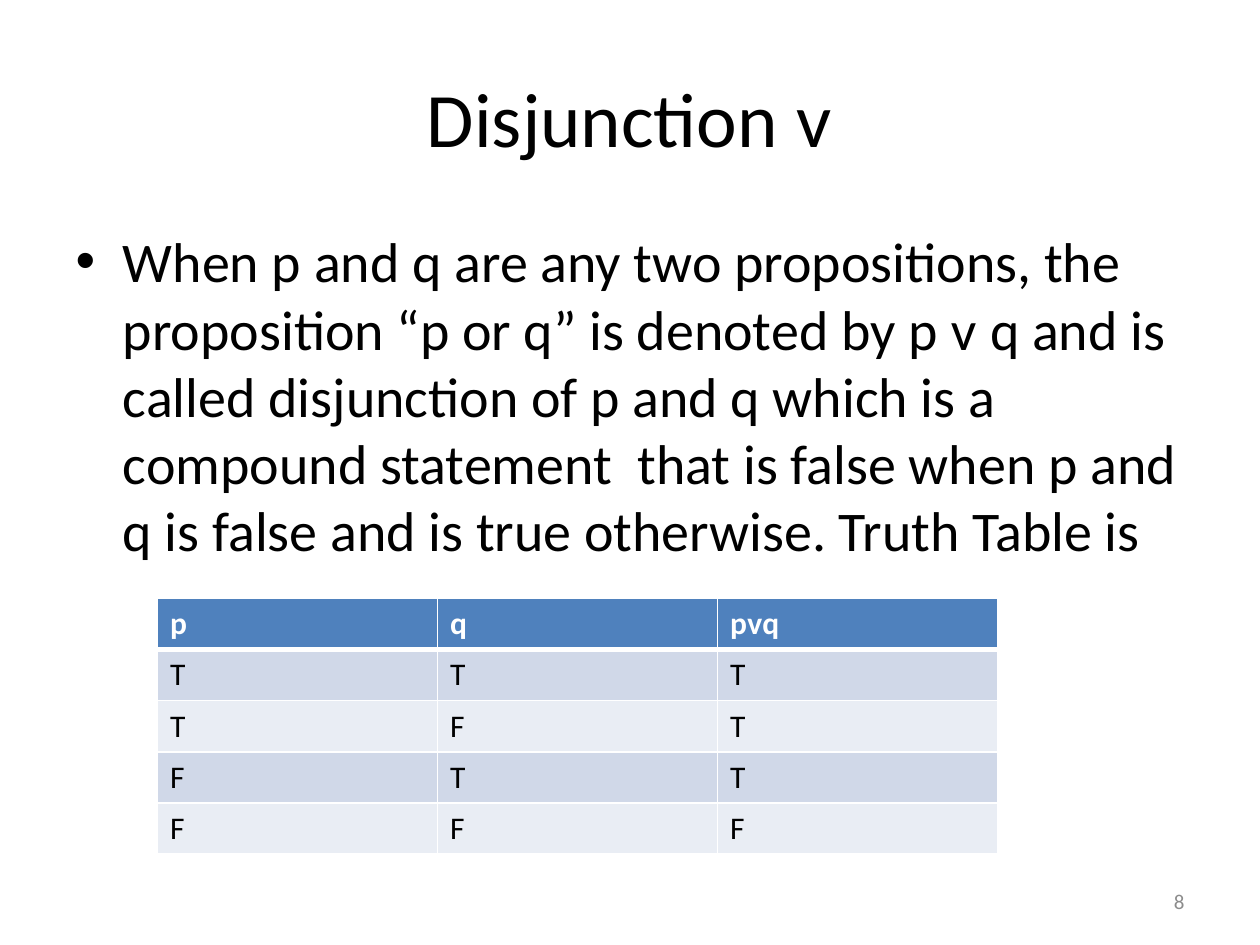
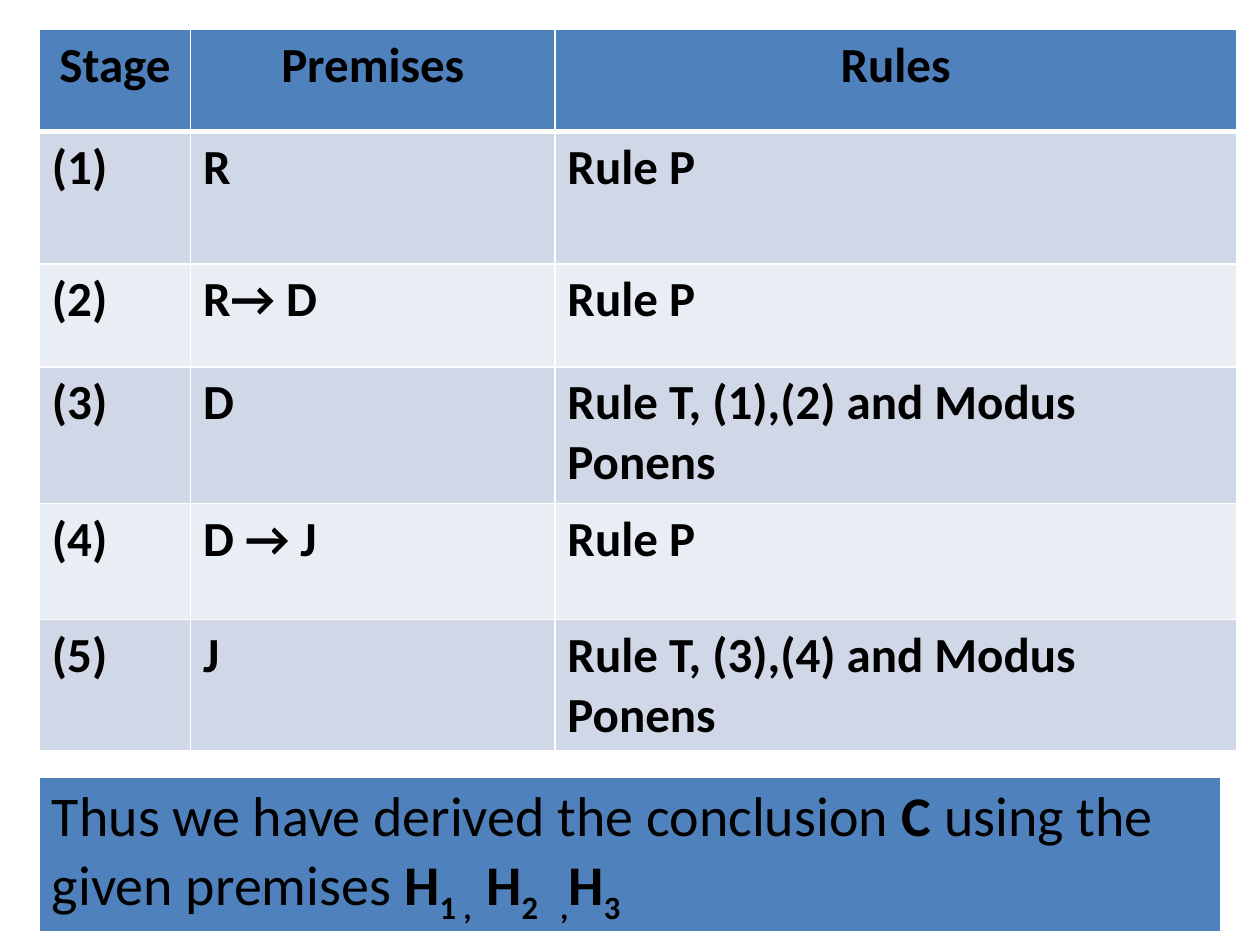
from dataclasses import dataclass
from typing import NamedTuple

from lxml import etree
from pptx import Presentation
from pptx.dml.color import RGBColor
from pptx.enum.text import MSO_ANCHOR, PP_ALIGN
from pptx.oxml.ns import qn
from pptx.util import Emu, Inches, Pt

CENTER, LEFT, RIGHT = PP_ALIGN.CENTER, PP_ALIGN.LEFT, PP_ALIGN.RIGHT
MIDDLE = MSO_ANCHOR.MIDDLE
TITLE_AND_CONTENT, BLANK = 1, 6
SUBSCRIPT = "-25000"


@dataclass(frozen=True)
class Theme:
    font: str = "Calibri"
    ink: str = "000000"
    paper: str = "FFFFFF"
    muted: str = "8C8C8C"
    accent: str = "4F81BD"
    bands: tuple[str, str] = ("D0D8E8", "E9EDF4")
    title: int = 44
    body: int = 32
    steps: int = 28
    cells: int = 18
    number: int = 12
    rule: int = 1
    heavy_rule: int = 3


class Span(NamedTuple):
    text: str
    bold: bool = False
    subscript: bool = False


@dataclass(frozen=True)
class TableSpec:
    """Position, column widths and row heights are in grid units."""
    left: float
    top: float
    cols: list[float]
    rows: list[float]
    texts: list[list[str]]
    size: int
    header_color: str
    header_align: PP_ALIGN = LEFT
    bold_body: bool = False


THEME = Theme()
SLIDE_W, SLIDE_H = Inches(10), Inches(7.5)
GRID_COLS, GRID_ROWS = 120, 90


def gx(columns: float) -> Emu:
    return Emu(round(SLIDE_W * columns / GRID_COLS))


def gy(rows: float) -> Emu:
    return Emu(round(SLIDE_H * rows / GRID_ROWS))


def style(p, size: int, color: str = THEME.ink, bold: bool | None = None,
          align: PP_ALIGN | None = None) -> None:
    p.font.name, p.font.size, p.font.bold = THEME.font, Pt(size), bold
    p.font.color.rgb = RGBColor.from_string(color)
    if align is not None:
        p.alignment = align


def paint_cell(cell, fill: str, top: int, bottom: int) -> None:
    """Fill a cell and rule its four edges, top and bottom widths in points."""
    cell.fill.solid()
    cell.fill.fore_color.rgb = RGBColor.from_string(fill)
    tc_pr = cell._tc.get_or_add_tcPr()
    widths = {"a:lnL": THEME.rule, "a:lnR": THEME.rule, "a:lnT": top, "a:lnB": bottom}
    for i, (tag, width) in enumerate(widths.items()):
        ln = etree.Element(qn(tag), w=str(Pt(width)))
        solid = etree.SubElement(ln, qn("a:solidFill"))
        etree.SubElement(solid, qn("a:srgbClr"), val=THEME.paper)
        tc_pr.insert(i, ln)


def new_table(slide, left: float, top: float, cols: list[float], rows: list[float]):
    table = slide.shapes.add_table(len(rows), len(cols), gx(left), gy(top),
                                   gx(sum(cols)), gy(sum(rows))).table
    table.horz_banding = False
    for column, width in zip(table.columns, cols):
        column.width = gx(width)
    for row, height in zip(table.rows, rows):
        row.height = gy(height)
    return table


def draw_table(slide, spec: TableSpec) -> None:
    table = new_table(slide, spec.left, spec.top, spec.cols, spec.rows)
    for i, texts in enumerate(spec.texts):
        header = i == 0
        fill = THEME.accent if header else THEME.bands[(i - 1) % 2]
        top = THEME.heavy_rule if i == 1 else THEME.rule
        bottom = THEME.heavy_rule if header else THEME.rule
        for j, text in enumerate(texts):
            cell = table.cell(i, j)
            cell.text = text
            paint_cell(cell, fill, top, bottom)
            style(cell.text_frame.paragraphs[0], spec.size,
                  spec.header_color if header else THEME.ink,
                  header or spec.bold_body, spec.header_align if header else LEFT)


def draw_conclusion(slide, spans: list[Span]) -> None:
    cell = new_table(slide, 3.75, 74, [112.5], [14]).cell(0, 0)
    paint_cell(cell, THEME.accent, THEME.rule, THEME.heavy_rule)
    p = cell.text_frame.paragraphs[0]
    style(p, THEME.body)
    for span in spans:
        r = p.add_run()
        r.text, r.font.bold = span.text, span.bold
        # Header rows colour their runs, so each run states its own look.
        r.font.name, r.font.size = THEME.font, Pt(THEME.body)
        r.font.color.rgb = RGBColor.from_string(THEME.ink)
        if span.subscript:
            r._r.get_or_add_rPr().set("baseline", SUBSCRIPT)


def draw_slide_number(slide, number: int) -> None:
    tf = slide.shapes.add_textbox(gx(86), gy(83.4), gx(28), gy(4.8)).text_frame
    tf.word_wrap, tf.vertical_anchor = True, MIDDLE
    tf.text = str(number)
    style(tf.paragraphs[0], THEME.number, THEME.muted, align=RIGHT)


TRUTH_TABLE = TableSpec(
    left=15, top=57, cols=[80 / 3] * 3, rows=[4.87] * 5,
    texts=[["p", "q", "pᴠq"], ["T", "T", "T"], ["T", "F", "T"],
           ["F", "T", "T"], ["F", "F", "F"]],
    size=THEME.cells, header_color=THEME.paper)

DERIVATION = TableSpec(
    left=3.75, top=2.8, cols=[14.4, 34.7, 64.9],
    rows=[9.75, 12.6, 9.8, 13, 11.05, 12.5],
    texts=[["Stage", "Premises", "Rules"],
           ["(1)", "R", "Rule P"],
           ["(2)", "R→ D", "Rule P"],
           ["(3)", "D", "Rule T, (1),(2) and Modus Ponens"],
           ["(4)", "D → J", "Rule P"],
           ["(5)", "J", "Rule T, (3),(4) and Modus Ponens"]],
    size=THEME.steps, header_color=THEME.ink, header_align=CENTER, bold_body=True)

CONCLUSION = [
    Span("Thus we have derived the conclusion"), Span(" C ", bold=True),
    Span("using the given premises "),
    Span("H", bold=True), Span("1 ,  ", bold=True, subscript=True),
    Span("H", bold=True), Span("2   ,", bold=True, subscript=True),
    Span("H", bold=True), Span("3", bold=True, subscript=True),
]


def disjunction_slide(prs) -> None:
    slide = prs.slides.add_slide(prs.slide_layouts[TITLE_AND_CONTENT])
    title, body = slide.shapes.title, slide.placeholders[1]
    title.text = "Disjunction ᴠ"
    style(title.text_frame.paragraphs[0], THEME.title, align=CENTER)
    body.text = (
        "When p and q are any two propositions, the proposition “p or q” is denoted "
        "by p ᴠ q and is called disjunction of p and q which is a compound statement  "
        "that is false when p and q is false and is true otherwise. Truth Table is")
    style(body.text_frame.paragraphs[0], THEME.body)
    draw_slide_number(slide, 8)
    draw_table(slide, TRUTH_TABLE)


def derivation_slide(prs) -> None:
    slide = prs.slides.add_slide(prs.slide_layouts[BLANK])
    draw_table(slide, DERIVATION)
    draw_conclusion(slide, CONCLUSION)


def main() -> None:
    prs = Presentation()
    prs.slide_width, prs.slide_height = SLIDE_W, SLIDE_H
    disjunction_slide(prs)
    derivation_slide(prs)
    prs.save("out.pptx")


if __name__ == "__main__":
    main()
